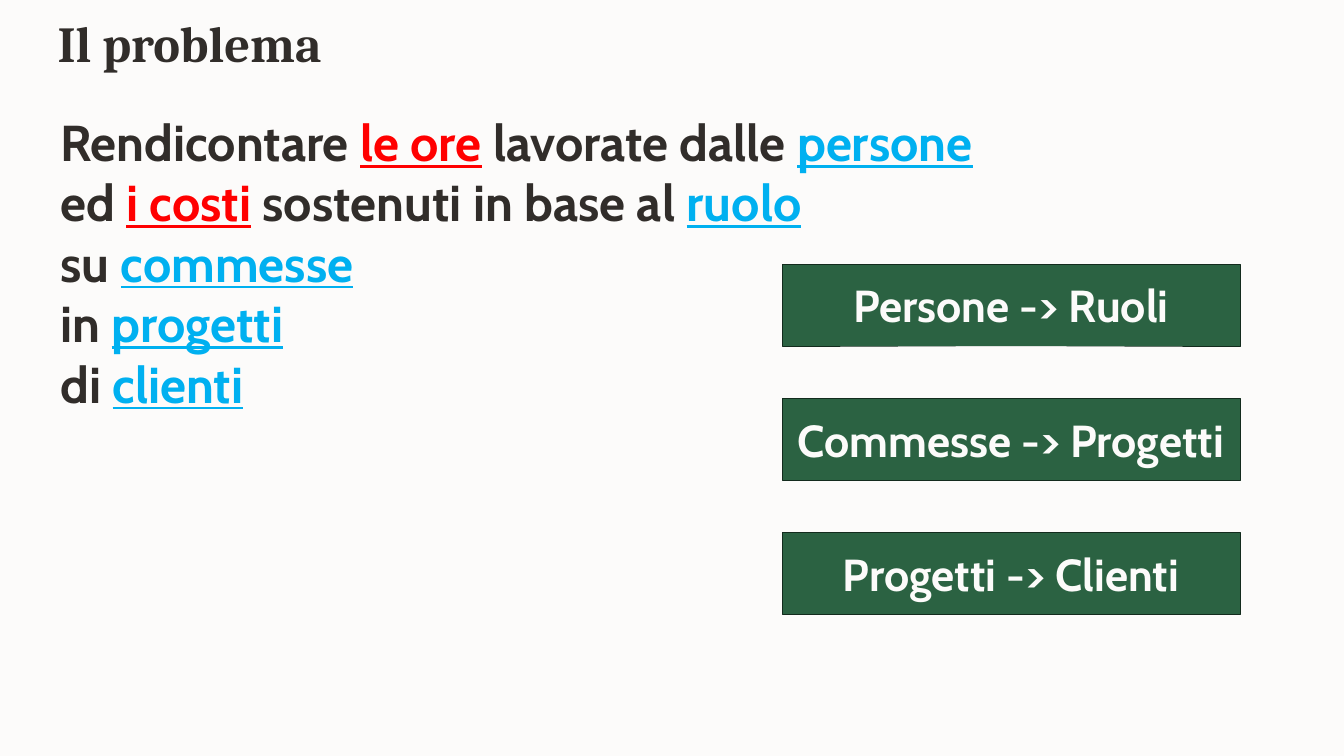
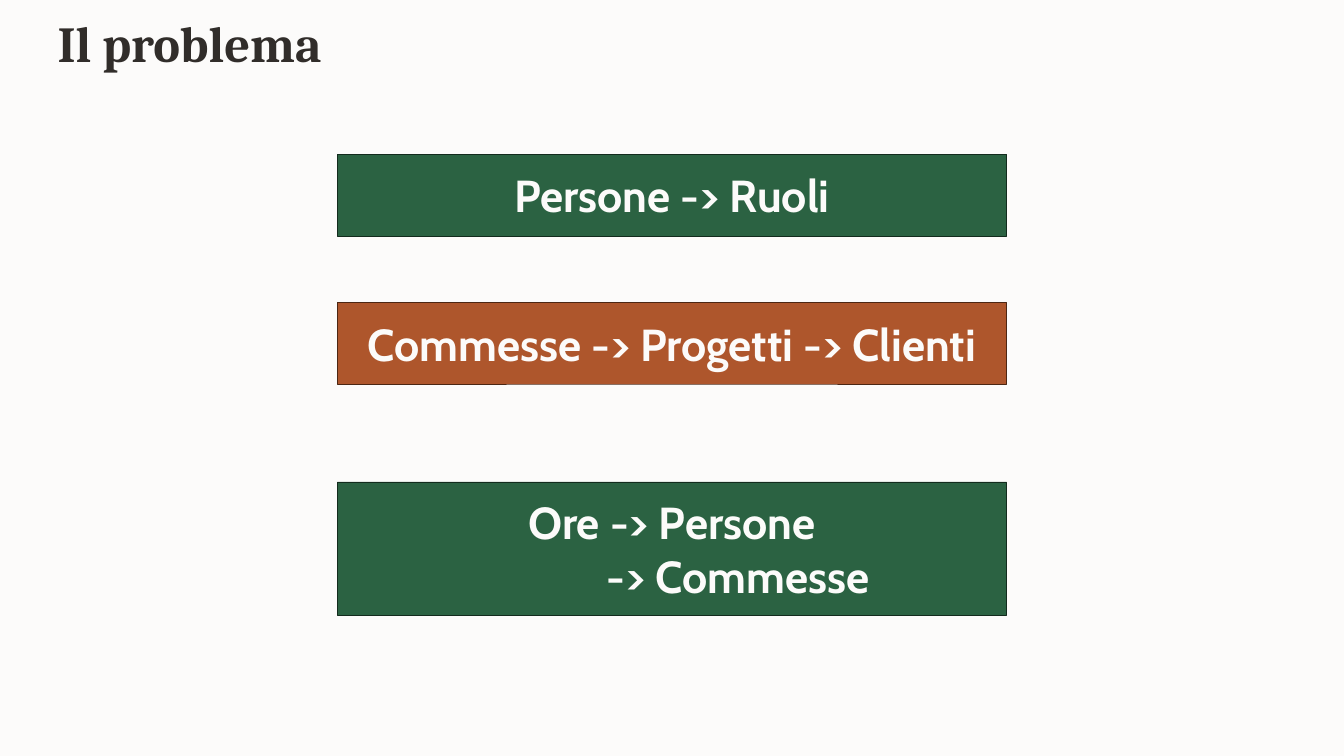
from pptx import Presentation
from pptx.dml.color import RGBColor
from pptx.enum.shapes import MSO_SHAPE
from pptx.enum.text import MSO_ANCHOR, PP_ALIGN
from pptx.util import Inches, Pt

RECTANGLE = MSO_SHAPE.RECTANGLE
TOP, MIDDLE, BOTTOM = MSO_ANCHOR.TOP, MSO_ANCHOR.MIDDLE, MSO_ANCHOR.BOTTOM
LEFT, CENTER = PP_ALIGN.LEFT, PP_ALIGN.CENTER

COLORS = {
    "paper": "FCFBFA",
    "ink": "312D2A",
    "measure": "FF0000",
    "entity": "00B0F0",
    "green": "2B6242",
    "green_edge": "132B1D",
    "rust": "AE562C",
    "rust_edge": "4C2613",
}
RGB = {name: RGBColor.from_string(code) for name, code in COLORS.items()}

prs = Presentation()
prs.slide_width, prs.slide_height = Inches(13.33), Inches(7.5)
paper = prs.slide_master.background.fill
paper.solid()
paper.fore_color.rgb = RGB["paper"]


def area(left, top, width, height):
    across, down = prs.slide_width / 100, prs.slide_height / 100
    return [int(n) for n in (left * across, top * down, width * across, height * down)]


def write(frame, lines, size=36, font="Cabin", align=LEFT, anchor=TOP, spacing=None, indents=()):
    frame.word_wrap = True
    frame.vertical_anchor = anchor
    for number, line in enumerate(lines):
        paragraph = frame.add_paragraph() if number else frame.paragraphs[0]
        paragraph.alignment = align
        if spacing:
            paragraph.line_spacing = spacing
        if number < len(indents):
            paragraph._p.get_or_add_pPr().set("marL", str(Inches(indents[number])))
        for words, color in line:
            run = paragraph.add_run()
            run.text = words
            run.font.name, run.font.size, run.font.bold = font, Pt(size), True
            run.font.color.rgb = RGB[color]
            if color in ("measure", "entity"):
                run.font.underline = True


statement = [
    [("Rendicontare ", "ink"), ("le ore", "measure"), (" lavorate dalle ", "ink"), ("persone", "entity")],
    [("ed ", "ink"), ("i costi", "measure"), (" sostenuti in base al ", "ink"), ("ruolo", "entity")],
    [("su ", "ink"), ("commesse", "entity")],
    [("in ", "ink"), ("progetti", "entity")],
    [("di ", "ink"), ("clienti", "entity")],
]

pair_names = ["Persone -> Ruoli", "Commesse -> Progetti", "Progetti -> Clienti"]
pairs = [
    ([name], "green", (58.2, 34.95 + 17.75 * row, 34.05, 10.8))
    for row, name in enumerate(pair_names)
]
chain_width = 49.8
chain_left = (100 - chain_width) / 2
chains = [
    (["Persone -> Ruoli"], "green", (chain_left, 20.4, chain_width, 10.8)),
    (["Commesse -> Progetti -> Clienti"], "rust", (chain_left, 40, chain_width, 10.8)),
    (["Ore -> Persone", "-> Commesse"], "green", (chain_left, 63.75, chain_width, 17.6)),
]

for sentences, relations in ((statement, pairs), ([], chains)):
    slide = prs.slides.add_slide(prs.slide_layouts[5])
    title = slide.shapes.title
    title.left, title.top, title.width, title.height = area(4.28, 1.33, 25.2, 8.27)
    heading = title.text_frame
    heading.margin_left = heading.margin_right = heading.margin_top = heading.margin_bottom = 0
    write(heading, [[("Il problema", "ink")]], font="Cambria", anchor=BOTTOM, spacing=0.8)

    if sentences:
        problem = slide.shapes.add_textbox(*area(3.75, 14, 88.5, 41.75))
        write(problem.text_frame, sentences)

    for lines, color, place in relations:
        relation = slide.shapes.add_shape(RECTANGLE, *area(*place))
        relation.shadow.inherit = False
        relation.fill.solid()
        relation.fill.fore_color.rgb = RGB[color]
        relation.line.color.rgb = RGB[color + "_edge"]
        relation.line.width = Pt(0.25)
        write(relation.text_frame, [[(line, "paper")] for line in lines],
              size=32, align=CENTER, anchor=MIDDLE, indents=(0, 1.31))

prs.save("out.pptx")
